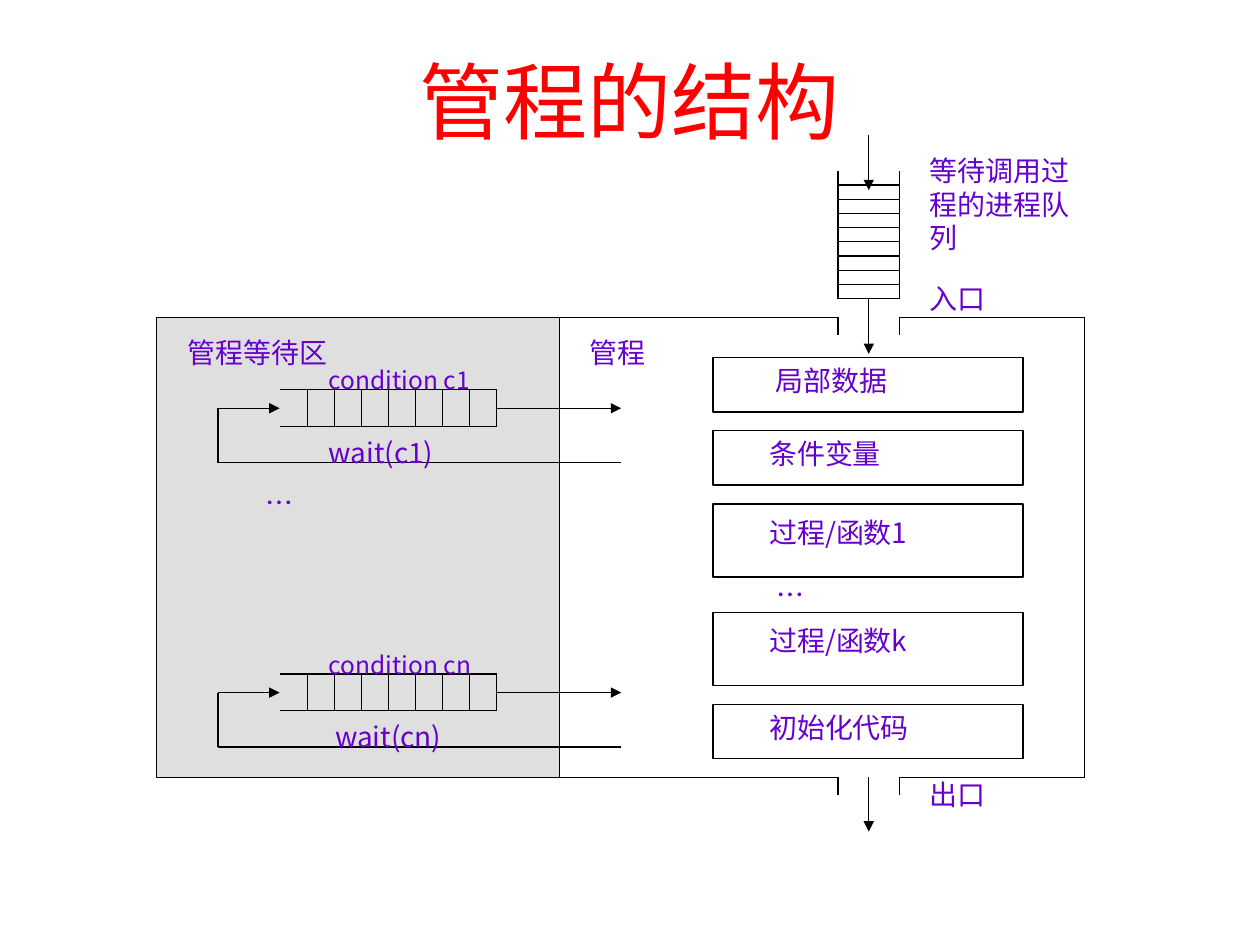
import pptx
import pptx.util
import pptx.dml.color
import pptx.enum.shapes
import pptx.enum.text
import pptx.oxml
import pptx.oxml.ns
from pptx.util import Pt

COLORS = {"title": "FF0000", "text": "6600CC", "line": "000000",
          "waiting": "C0C0C0", "box": "FFFFFF"}
FONT = "Noto Sans CJK JP"
ALIGN = pptx.enum.text.PP_ALIGN
ANCHOR = pptx.enum.text.MSO_ANCHOR
RECTANGLE = pptx.enum.shapes.MSO_SHAPE.RECTANGLE
STRAIGHT = pptx.enum.shapes.MSO_CONNECTOR.STRAIGHT
qn = pptx.oxml.ns.qn


def rgb(name):
    return pptx.dml.color.RGBColor.from_string(COLORS[name])


def write(shape, text, size=16, color="text", align=ALIGN.LEFT,
          anchor=ANCHOR.TOP, inset=(0, 0), indent=0):
    """Fill a shape with one paragraph; inset is (sides, top and bottom)."""
    frame = shape.text_frame
    side, end = inset
    frame_format = {"word_wrap": True, "vertical_anchor": anchor,
                    "margin_left": Pt(side), "margin_right": Pt(side),
                    "margin_top": Pt(end), "margin_bottom": Pt(end)}
    for name, value in frame_format.items():
        setattr(frame, name, value)
    paragraph = frame.paragraphs[0]
    paragraph.alignment = align
    if indent:
        paragraph._p.get_or_add_pPr().set("marL", str(Pt(indent)))
    run = paragraph.add_run()
    run.text = text
    for name, value in {"name": FONT, "size": Pt(size), "bold": False}.items():
        setattr(run.font, name, value)
    run.font.color.rgb = rgb(color)
    east_asian = pptx.oxml.parse_xml(
        f'<a:ea {pptx.oxml.ns.nsdecls("a")} typeface="{FONT}"/>')
    run._r.rPr.find(qn("a:latin")).addnext(east_asian)


deck = pptx.Presentation()
deck.slide_width, deck.slide_height = Pt(720), Pt(540)
slide = deck.slides.add_slide(deck.slide_layouts[5])

title = slide.shapes.title
for name, value in {"left": 36, "top": 12.2, "width": 648, "height": 90}.items():
    setattr(title, name, Pt(value))
write(title, "管程的结构", 48, "title", ALIGN.CENTER, ANCHOR.MIDDLE, (7.2, 3.6))

# Monitor outline
wait_left, wait_right, monitor_right = 89.3, 319.7, 619.9
monitor_top, monitor_bottom = 181.4, 444.2
gate_left, gate_right = 478.8, 514.1
gate_middle = (gate_left + gate_right) / 2

# Rectangles: left, top, width, height, fill, text, vertical inset, indent
box_left, box_width = 407.5, 177.1
rectangles = [
    (wait_left, monitor_top, wait_right - wait_left,
     monitor_bottom - monitor_top, "waiting", "", 0, 0),
    (box_left, 204.5, box_width, 31, "box", "局部数据", 3.6, 28.5),
    (box_left, 246.2, box_width, 31, "box", "条件变量", 3.6, 25),
    (box_left, 288, box_width, 41.8, "box", "过程/函数1", 6.5, 25),
    (box_left, 349.9, box_width, 41.8, "box", "过程/函数k", 6.5, 25),
    (box_left, 402.5, box_width, 31, "box", "初始化代码", 3.6, 25),
]
for left, top, width, height, fill, text, inset, indent in rectangles:
    rectangle = slide.shapes.add_shape(
        RECTANGLE, Pt(left), Pt(top), Pt(width), Pt(height))
    rectangle.shadow.inherit = False
    rectangle.fill.solid()
    rectangle.fill.fore_color.rgb = rgb(fill)
    rectangle.line.color.rgb = rgb("line")
    rectangle.line.width = Pt(0.75)
    if text:
        write(rectangle, text, inset=(7.2, inset), indent=indent)
    else:
        alpha = pptx.oxml.parse_xml(
            f'<a:alpha {pptx.oxml.ns.nsdecls("a")} val="50000"/>')
        rectangle._element.spPr.find(".//" + qn("a:srgbClr")).append(alpha)

# Lines and arrows: x1, y1, x2, y2
lines = [(monitor_right, monitor_top, monitor_right, monitor_bottom)]
for y in (monitor_top, monitor_bottom):
    lines += [(wait_right, y, gate_left, y), (gate_right, y, monitor_right, y)]
    lines += [(x, y, x, y + 10.2) for x in (gate_left, gate_right)]

entry_top, entry_bottom = 97.9, 170.6
lines += [(x, entry_top, x, entry_bottom) for x in (gate_left, gate_right)]
for rung in range(9):
    y = entry_bottom - 8.1 * rung
    lines.append((gate_left, y, gate_right, y))
arrows = [(gate_middle, 77, gate_middle, 108.7),
          (gate_middle, entry_bottom, gate_middle, 202.3),
          (gate_middle, monitor_bottom, gate_middle, 475.2)]

# Labels: text, left, top, width, height, size, alignment
labels = [
    ("管程等待区", 107.3, 191.5, 115.9, 20.9, 16, ALIGN.LEFT),
    ("管程", 337, 191.5, 90, 20.9, 16, ALIGN.LEFT),
    ("等待调用过程的进程队列", 531.4, 87.8, 80.6, 51.8, 16, ALIGN.LEFT),
    ("入口", 531.4, 160.6, 62.6, 20.9, 16, ALIGN.LEFT),
    ("出口", 531.4, 444.2, 70.6, 20.9, 16, ALIGN.LEFT),
    ("…", 151.9, 277.2, 88.6, 51.8, 16, ALIGN.JUSTIFY),
    ("…", 443.5, 329.8, 105.8, 20.9, 16, ALIGN.LEFT),
]

# One waiting queue per condition variable
queue_left, queue_right, loop_left, loop_right = 159.8, 283.9, 124.6, 355
for top, condition, wait in ((222.7, "condition c1", "wait(c1)"),
                             (385.2, "condition cn", " wait(cn)")):
    bottom, middle, loop_bottom = top + 20.9, top + 10.6, top + 41.7
    lines += [(queue_left, y, queue_right, y) for y in (top, bottom)]
    for cell in range(8):
        x = queue_right - 15.47 * cell
        lines.append((x, top, x, bottom))
    lines += [(loop_right, loop_bottom, loop_left, loop_bottom),
              (loop_left, loop_bottom, loop_left, middle)]
    arrows += [(loop_left, middle, queue_left, middle),
               (queue_right, middle, loop_right, middle)]
    labels += [(condition, 187.9, top - 14, 90, 13, 14, ALIGN.JUSTIFY),
               (wait, 187.9, top + 25.9, 90, 13, 16, ALIGN.JUSTIFY)]

for segments, has_head in ((lines, False), (arrows, True)):
    for segment in segments:
        connector = slide.shapes.add_connector(
            STRAIGHT, *(Pt(value) for value in segment))
        connector.line.color.rgb = rgb("line")
        connector.line.width = Pt(0.75)
        properties = connector._element.spPr
        if has_head:
            properties.find(qn("a:ln")).append(pptx.oxml.parse_xml(
                f'<a:tailEnd {pptx.oxml.ns.nsdecls("a")} type="triangle"/>'))
        properties.append(pptx.oxml.parse_xml(
            f'<a:effectLst {pptx.oxml.ns.nsdecls("a")}/>'))

for text, left, top, width, height, size, align in labels:
    label = slide.shapes.add_textbox(Pt(left), Pt(top), Pt(width), Pt(height))
    write(label, text, size, align=align)

deck.save("out.pptx")
